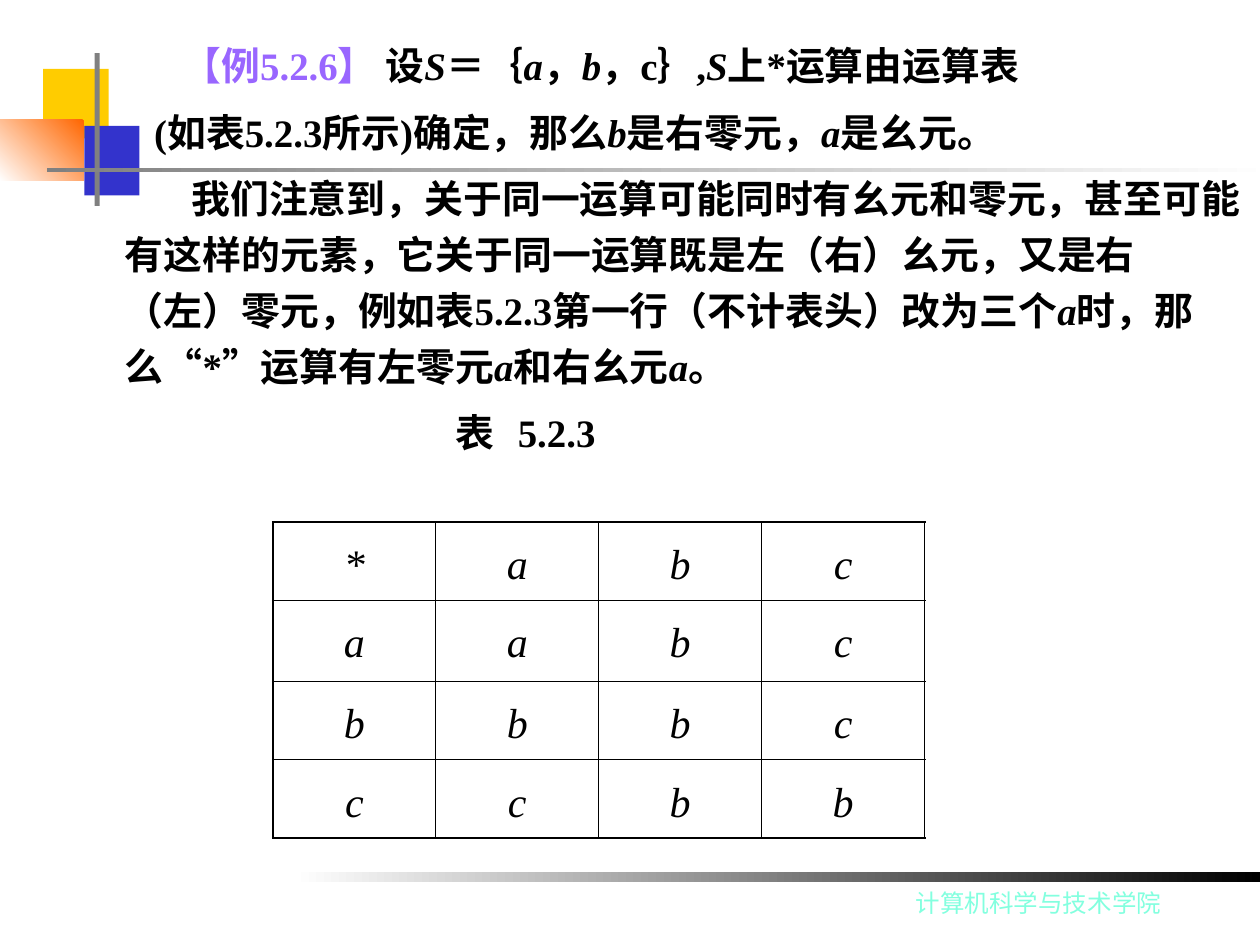
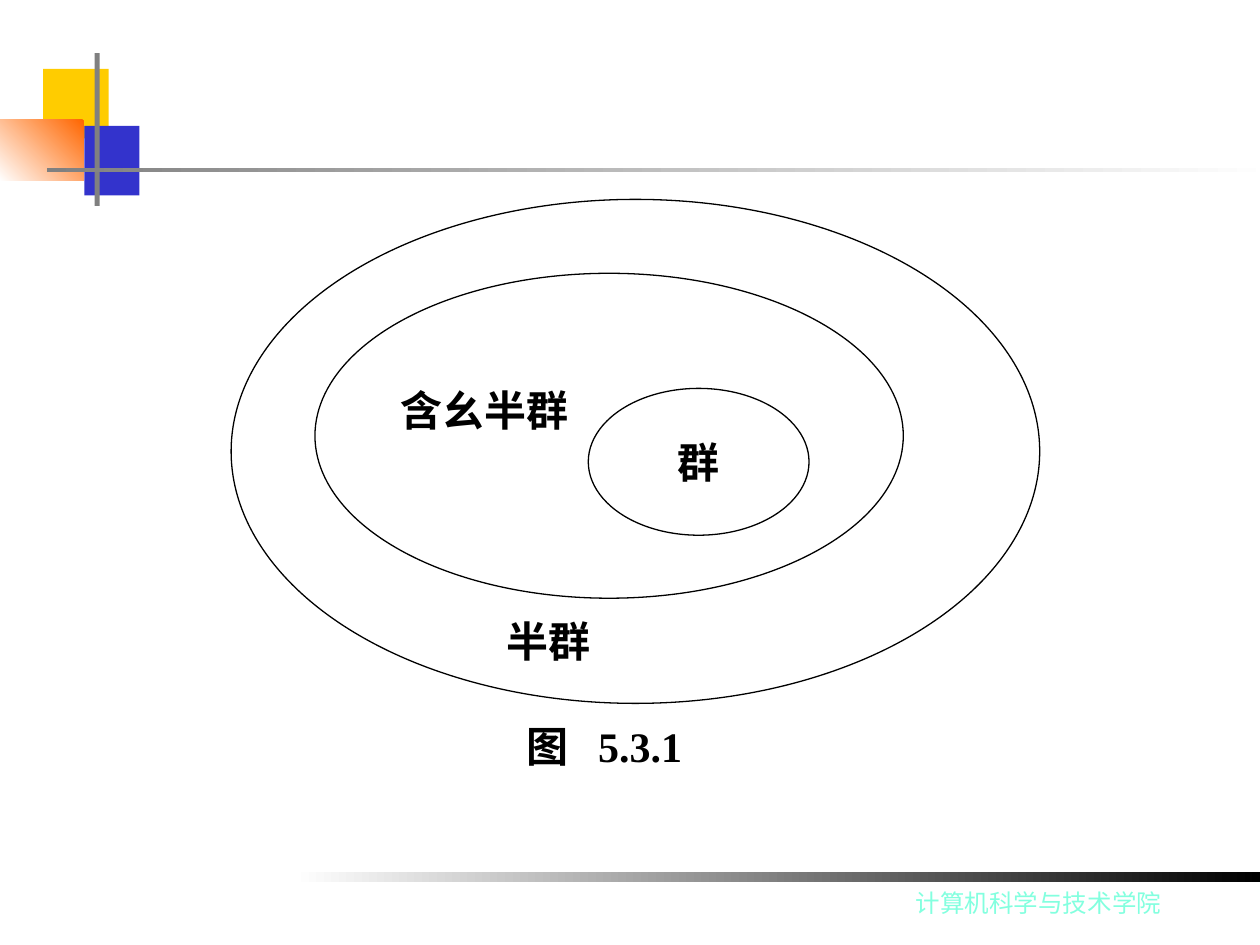
from lxml.etree import SubElement
from pptx import Presentation
from pptx.dml.color import RGBColor
from pptx.enum.shapes import MSO_SHAPE as Shape
from pptx.enum.text import MSO_ANCHOR as Anchor, PP_ALIGN as Align
from pptx.oxml.ns import qn
from pptx.util import Cm, Pt

# Shared look
BLACK, WHITE, GREY = "000000", "FFFFFF", "808080"
YELLOW, BLUE, ORANGE = "FFCC00", "3333CC", "FF6600"
ACCENT, FOOTER_COLOR = "9966FF", "83FFDF"
BODY = {"name": "Times New Roman", "size": Pt(22.2), "bold": True}
LABEL = {**BODY, "size": Pt(24)}
ENTRY = {**LABEL, "bold": False, "italic": True}
FOOTER = {"name": "Cabin", "size": Pt(14)}
HANGING = 0.97

# Left, top, width, height in cm; fill; gradient end colour and angle
DECORATIONS = [
    ((0.87, 1.39, 1.32, 1.4), YELLOW, None, 0),
    ((1.7, 2.54, 1.11, 1.4), BLUE, None, 0),
    ((0, 2.41, 1.69, 1.24), ORANGE, WHITE, 225),
    ((1.91, 1.07, 0.1, 3.08), GREY, None, 0),
    ((0.94, 3.38, 24.77, 0.09), WHITE, GREY, 180),
    ((5.92, 17.57, 19.48, 0.21), BLACK, WHITE, 180),
]

# Start of first line in cm, alignment, coloured lead, text (_x_ is italic)
EXAMPLE = [
    (2.13, Align.JUSTIFY, "【例5.2.6】", " 设_S_＝｛_a_，_b_，c｝,_S_上*运算由运算表"),
    (1.56, Align.JUSTIFY, "", "(如表5.2.3所示)确定，那么_b_是右零元，_a_是幺元。"),
    (2.31, None, "",
     "我们注意到，关于同一运算可能同时有幺元和零元，甚至可能有这样的元素，"
     "它关于同一运算既是左（右）幺元，又是右（左）零元，例如表5.2.3第一行"
     "（不计表头）改为三个_a_时，那么“*”运算有左零元_a_和右幺元_a_。"),
]
OPERATION_ROWS = ["*abc", "aabc", "bbbc", "ccbb"]


def rgb(color):
    return RGBColor.from_string(color)


def box(position):
    return [Cm(length) for length in position]


def apply(target, values):
    for name, value in values.items():
        setattr(target, name, value)


def add_run(paragraph, text, style, color=BLACK):
    run = paragraph.add_run()
    run.text = text
    apply(run.font, style)
    run.font.color.rgb = rgb(color)


def add_marked_runs(paragraph, text, style):
    for index, piece in enumerate(text.split("_")):
        if piece:
            add_run(paragraph, piece, {**style, "italic": index % 2 == 1})


def set_indent(paragraph, margin, first_line):
    properties = paragraph._p.get_or_add_pPr()
    properties.set("marL", str(Cm(margin)))
    properties.set("indent", str(Cm(first_line - margin)))


def add_tab(paragraph, position):
    tabs = SubElement(paragraph._p.get_or_add_pPr(), qn("a:tabLst"))
    SubElement(tabs, qn("a:tab"), pos=str(Cm(position)), algn="l")


def add_text_box(slide, position, wrap=True):
    frame = slide.shapes.add_textbox(*box(position)).text_frame
    frame.word_wrap = wrap
    return frame


def add_label(slide, position, text, style=LABEL, color=BLACK, wrap=True, tab=None):
    paragraph = add_text_box(slide, position, wrap).paragraphs[0]
    if tab:
        add_tab(paragraph, tab)
    add_run(paragraph, text, style, color)


def add_decoration(slide, position, color, end_color, angle):
    shape = slide.shapes.add_shape(Shape.RECTANGLE, *box(position))
    shape.shadow.inherit = False
    shape.line.fill.background()
    if end_color:
        shape.fill.gradient()
        shape.fill.gradient_angle = angle
        for stop, stop_color in zip(shape.fill.gradient_stops, (color, end_color)):
            stop.color.rgb = rgb(stop_color)
    else:
        shape.fill.solid()
        shape.fill.fore_color.rgb = rgb(color)


def add_ellipse(slide, position, fill=None, text=""):
    shape = slide.shapes.add_shape(Shape.OVAL, *box(position))
    shape.shadow.inherit = False
    shape.line.color.rgb = rgb(BLACK)
    shape.line.width = Pt(0.75)
    if fill:
        shape.fill.solid()
        shape.fill.fore_color.rgb = rgb(fill)
    else:
        shape.fill.background()
    if text:
        frame = shape.text_frame
        apply(frame, {"word_wrap": False, "vertical_anchor": Anchor.MIDDLE})
        frame.paragraphs[0].alignment = Align.CENTER
        add_run(frame.paragraphs[0], text, LABEL)


def set_border(cell, side, width):
    line = SubElement(cell._tc.get_or_add_tcPr(), qn(f"a:ln{side}"), w=str(Pt(width)))
    fill = SubElement(line, qn("a:solidFill"))
    SubElement(fill, qn("a:srgbClr"), val=BLACK)


def add_operation_table(slide, position, rows, heights):
    last_row, last_column = len(rows) - 1, len(rows[0]) - 1
    table = slide.shapes.add_table(len(rows), len(rows[0]), *box(position)).table
    apply(table, {"first_row": False, "horz_banding": False})
    for row, height in zip(table.rows, heights):
        row.height = Cm(height)
    for i, entries in enumerate(rows):
        for j, entry in enumerate(entries):
            cell = table.cell(i, j)
            outer = {"L": j == 0, "R": j == last_column,
                     "T": i == 0, "B": i == last_row}
            for side, is_outer in outer.items():
                set_border(cell, side, 1.08 if is_outer else 0.45)
            cell.fill.background()
            paragraph = cell.text_frame.paragraphs[0]
            apply(paragraph, {"alignment": Align.CENTER, "line_spacing": 1.3})
            add_run(paragraph, entry, ENTRY)


def add_example_text(slide):
    frame = add_text_box(slide, (1.3, 0.53, 24.1, 10.21))
    for index, (start, alignment, lead, text) in enumerate(EXAMPLE):
        paragraph = frame.add_paragraph() if index else frame.paragraphs[0]
        apply(paragraph, {"alignment": alignment, "line_spacing": 1.2})
        if index:
            paragraph.space_before = Pt(6)
        set_indent(paragraph, HANGING, start)
        if lead:
            add_run(paragraph, lead, BODY, ACCENT)
        add_marked_runs(paragraph, text, BODY)
    # Table caption
    caption = frame.add_paragraph()
    apply(caption, {"line_spacing": 1.2, "space_before": Pt(6)})
    set_indent(caption, 0, 7.64)
    add_tab(caption, 9.05)
    add_run(caption, "表\t5.2.3", BODY)


def add_base_slide(presentation):
    slide = presentation.slides.add_slide(presentation.slide_layouts[6])
    for decoration in DECORATIONS:
        add_decoration(slide, *decoration)
    add_label(slide, (18.21, 17.78, 5.46, 0.86), "计算机科学与技术学院",
              FOOTER, FOOTER_COLOR, wrap=False)
    return slide


def main():
    presentation = Presentation()
    apply(presentation, {"slide_width": Cm(25.4), "slide_height": Cm(19.05)})

    # Example with its operation table
    slide = add_base_slide(presentation)
    add_example_text(slide)
    add_operation_table(slide, (5.5, 10.52, 13.14, 6.37), OPERATION_ROWS,
                        (1.58, 1.63, 1.58, 1.58))

    # Nested sets: semigroup, monoid, group
    slide = add_base_slide(presentation)
    add_label(slide, (10.36, 14.4, 4.24, 1.27), "图\t5.3.1", tab=1.45)
    add_ellipse(slide, (6.35, 5.51, 11.86, 6.55), WHITE)
    add_ellipse(slide, (11.86, 7.83, 4.45, 2.96), WHITE, "群")
    add_label(slide, (7.82, 7.62, 4.88, 1.27), "含幺半群")
    add_ellipse(slide, (4.66, 4.02, 16.3, 10.16))
    add_label(slide, (9.96, 12.28, 2.6, 1.27), "半群", wrap=False)

    presentation.save("out.pptx")


if __name__ == "__main__":
    main()
